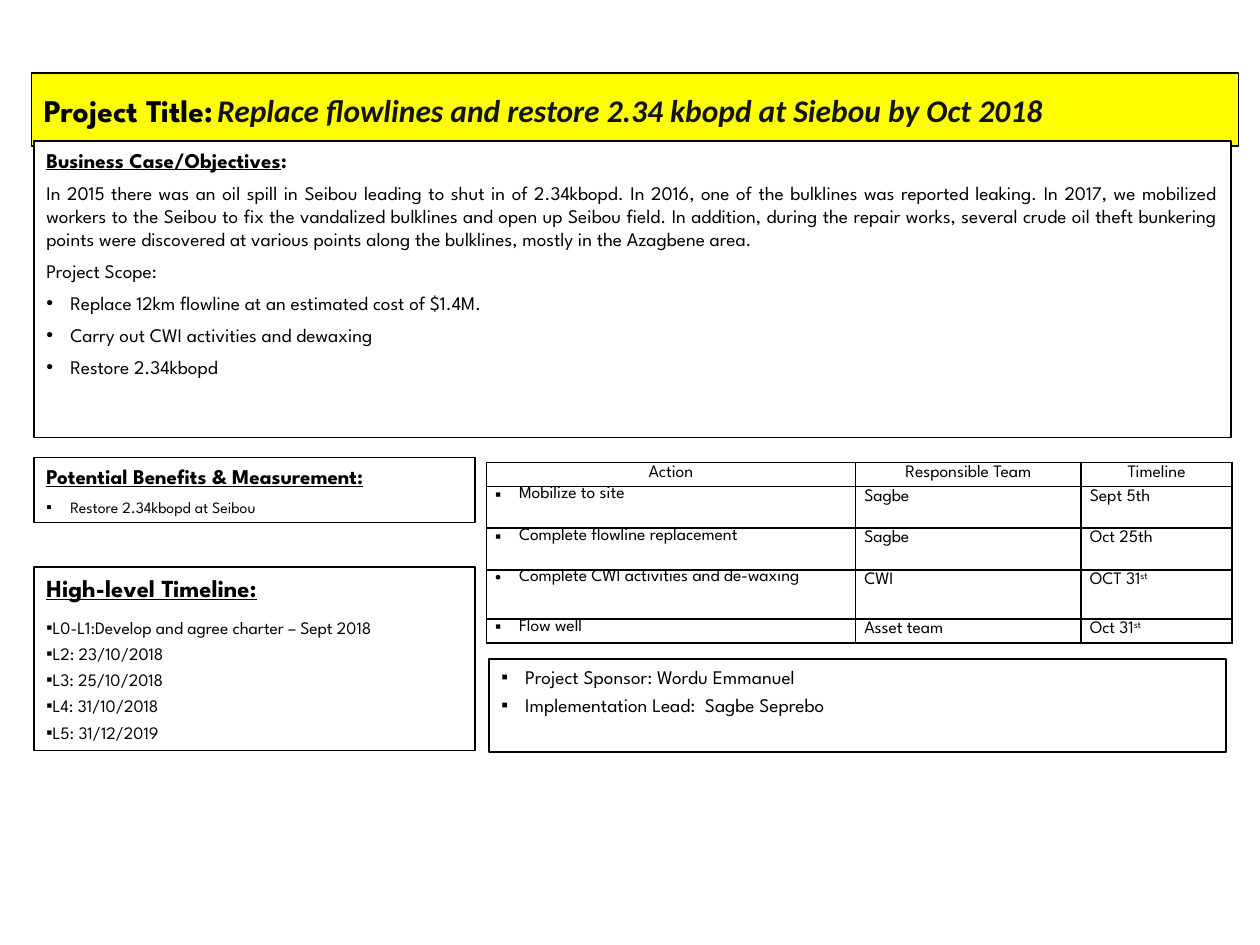
from dataclasses import dataclass

from lxml.etree import SubElement
from pptx import Presentation
from pptx.dml.color import RGBColor
from pptx.enum.text import MSO_ANCHOR, PP_ALIGN
from pptx.oxml import parse_xml
from pptx.oxml.ns import nsdecls, qn
from pptx.util import Inches, Pt


@dataclass(frozen=True)
class Theme:
    font: str = "League Spartan"
    title_font: str = "Calibri"
    ink: str = "000000"
    title_ink: str = "141414"
    banner: str = "FFFF00"
    paper: str = "FFFFFF"
    title: int = 18
    timeline_heading: int = 14
    heading: int = 12
    body: int = 11
    small: int = 10
    tiny: int = 9
    gap: int = 5
    step: int = 3
    frame: float = 0.75
    rule: int = 1


@dataclass(frozen=True)
class Box:
    """A region in grid cells: 1000 columns by 750 rows on the slide."""
    col: float
    row: float
    cols: float
    rows: float

    def place(self):
        return [Inches(n / 100) for n in (self.col, self.row, self.cols, self.rows)]


THEME = Theme()
SQUARE, DOT = "▪", "•"
HANG = Inches(0.19)


def style(font, size, bold=False, underline=False, italic=False,
          name=THEME.font, color=THEME.ink):
    font.name, font.size, font.bold = name, Pt(size), bold
    font.underline, font.italic = underline, italic
    font.color.rgb = RGBColor.from_string(color)


def add_panel(slide, box, fill=None):
    """Draw a framed text region and return its text frame."""
    panel = slide.shapes.add_textbox(*box.place())
    if fill:
        panel.fill.solid()
        panel.fill.fore_color.rgb = RGBColor.from_string(fill)
    panel.line.color.rgb = RGBColor.from_string(THEME.ink)
    panel.line.width = Pt(THEME.frame)
    panel.text_frame.word_wrap = True
    return panel.text_frame


def next_paragraph(frame):
    first = frame.paragraphs[0]
    return frame.add_paragraph() if first.runs else first


def set_bullet(paragraph, mark, margin=HANG):
    props = paragraph._p.get_or_add_pPr()
    props.set("marL", str(margin))
    props.set("indent", str(-HANG))
    SubElement(props, qn("a:buFont")).set("typeface", "Arial")
    SubElement(props, qn("a:buChar")).set("char", mark)


def write(frame, text, size, bullet=None, margin=HANG, align=None,
          before=0, after=0, **look):
    paragraph = next_paragraph(frame)
    paragraph.alignment = align
    paragraph.space_before, paragraph.space_after = Pt(before), Pt(after)
    if bullet:
        set_bullet(paragraph, bullet, margin)
    paragraph.add_run().text = text
    style(paragraph.font, size, **look)


def add_title(slide, box):
    frame = add_panel(slide, box, THEME.banner)
    frame.vertical_anchor = MSO_ANCHOR.MIDDLE
    paragraph = frame.paragraphs[0]
    for text, size, look in (
        ("Project Title:", THEME.title, {}),
        (" ", THEME.tiny, {}),
        ("Replace flowlines and restore 2.34 kbopd at Siebou by Oct 2018", THEME.title,
         {"italic": True, "name": THEME.title_font, "color": THEME.title_ink}),
    ):
        run = paragraph.add_run()
        run.text = text
        style(run.font, size, bold=True, **look)


def add_business_case(slide, box):
    frame = add_panel(slide, box, THEME.paper)
    heading = frame.paragraphs[0]
    heading.space_after = Pt(THEME.gap)
    for text, underline in (("Business Case/Objectives", True), (":", False)):
        run = heading.add_run()
        run.text = text
        style(run.font, THEME.heading, bold=True, underline=underline)
    for text, bullet in (
        ("In 2015 there was an oil spill in Seibou leading to shut in of 2.34kbopd. "
         "In 2016, one of the bulklines was reported leaking. In 2017, we mobilized "
         "workers to the Seibou to fix the vandalized bulklines and open up Seibou field. "
         "In addition, during the repair works, several crude oil theft bunkering points "
         "were discovered at various points along the bulklines, mostly in the "
         "Azagbene area.", None),
        ("Project Scope:", None),
        ("Replace 12km flowline at an estimated cost of $1.4M.", DOT),
        ("Carry out CWI activities and dewaxing", DOT),
        ("Restore 2.34kbopd", DOT),
    ):
        write(frame, text, THEME.body, bullet, align=PP_ALIGN.JUSTIFY, after=THEME.gap)


def add_benefits(slide, box):
    frame = add_panel(slide, box, THEME.paper)
    write(frame, "Potential Benefits & Measurement:", THEME.heading,
          after=THEME.gap, bold=True, underline=True)
    write(frame, "Restore 2.34kbopd at Seibou", THEME.tiny, SQUARE)


def add_timeline(slide, box):
    frame = add_panel(slide, box)
    write(frame, "High-level Timeline:", THEME.timeline_heading,
          after=THEME.gap, bold=True, underline=True)
    for milestone in ("L0-L1:Develop and agree charter – Sept 2018", "L2: 23/10/2018",
                      "L3: 25/10/2018", "L4: 31/10/2018", "L5: 31/12/2019"):
        write(frame, milestone, THEME.small, SQUARE, margin=0, before=THEME.step)


def add_people(slide, box):
    frame = add_panel(slide, box)
    for index, person in enumerate(("Project Sponsor: Wordu Emmanuel",
                                    "Implementation Lead:  Sagbe Seprebo")):
        write(frame, person, THEME.body, SQUARE, before=THEME.step if index else 0)


def format_cell(cell):
    cell.margin_left = cell.margin_right = Inches(0.07)
    cell.margin_top = cell.margin_bottom = 0
    cell.fill.background()
    props = cell._tc.get_or_add_tcPr()
    for index, side in enumerate(("lnL", "lnR", "lnT", "lnB")):
        props.insert(index, parse_xml(
            f'<a:{side} {nsdecls("a")} w="{Pt(THEME.rule)}"><a:solidFill>'
            f'<a:srgbClr val="{THEME.ink}"/></a:solidFill></a:{side}>'))


def add_actions(slide, box):
    rows = (
        (19, None, ("Action", "Responsible Team", "Timeline")),
        (33, SQUARE, ("Mobilize to site", "Sagbe", "Sept 5th")),
        (33, SQUARE, ("Complete flowline replacement", "Sagbe", "Oct 25th")),
        (39, DOT, ("Complete CWI activities and de-waxing", "CWI", "OCT 31^st")),
        (19, SQUARE, ("Flow well", "Asset team", "Oct 31^st")),
    )
    columns = (293, 179, 120)
    table = slide.shapes.add_table(len(rows), len(columns), *box.place()).table
    table.first_row = table.horz_banding = False
    for column, width in zip(table.columns, columns):
        column.width = Inches(box.cols * width / sum(columns) / 100)
    for row, (height, bullet, texts) in zip(table.rows, rows):
        row.height = Inches(box.rows * height / sum(r[0] for r in rows) / 100)
        for index, (cell, text) in enumerate(zip(row.cells, texts)):
            format_cell(cell)
            base, _, raised = text.partition("^")
            paragraph = cell.text_frame.paragraphs[0]
            if bullet and index == 0:
                set_bullet(paragraph, bullet)
            else:
                paragraph.line_spacing = 1.15
            paragraph.alignment = None if bullet else PP_ALIGN.CENTER
            paragraph.add_run().text = base
            if raised:
                suffix = paragraph.add_run()
                suffix.text = raised
                suffix._r.get_or_add_rPr().set("baseline", "30000")
            style(paragraph.font, THEME.small)


def main():
    deck = Presentation()
    deck.slide_width, deck.slide_height = Inches(10), Inches(7.5)
    slide = deck.slides.add_slide(deck.slide_layouts[6])
    add_title(slide, Box(25, 58, 958, 58))
    add_business_case(slide, Box(27, 112, 950, 235))
    add_benefits(slide, Box(27, 363, 350, 52))
    add_timeline(slide, Box(27, 450, 350, 146))
    add_people(slide, Box(388, 523, 585, 74))
    add_actions(slide, Box(386, 367, 592, 143))
    deck.save("out.pptx")


if __name__ == "__main__":
    main()
